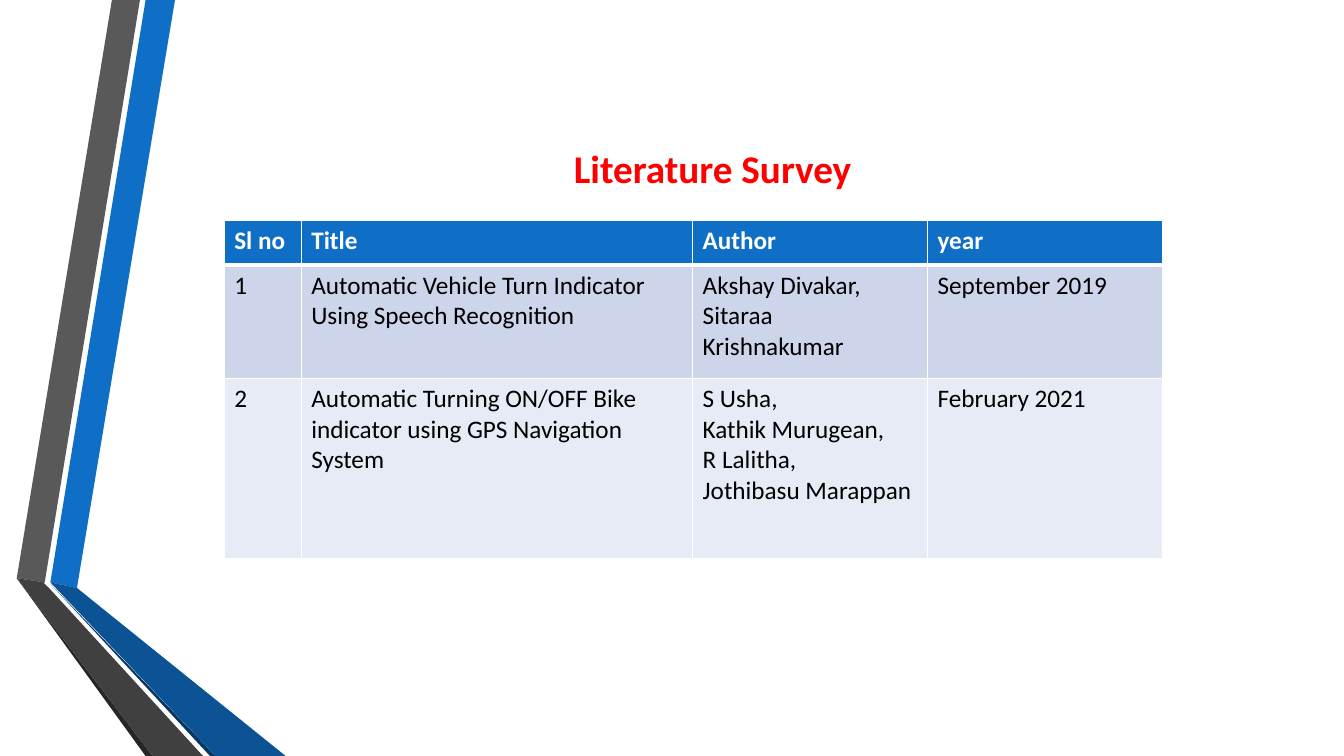
from lxml import etree
from pptx import Presentation
from pptx.dml.color import RGBColor
from pptx.enum.text import PP_ALIGN
from pptx.oxml.ns import qn
from pptx.util import Pt

CENTER = PP_ALIGN.CENTER
FONT = "Calibri"
WHITE = "FFFFFF"
TITLE = "Literature Survey"
BANDS = [
    ("0F6FC6", [(36, 416.2), (55.4, 419.8), (124.6, 0), (104.4, 0)]),
    ("595959", [(100, 0), (80, 0), (11.6, 412.6), (31.7, 415.5)]),
    ("262626", [(11.6, 412.6), (104.4, 540), (108.7, 540)]),
    ("083763", [(36, 416.8), (149.8, 540), (154, 540)]),
    ("0B5394", [(36, 416.2), (154, 540), (203.8, 540), (55.4, 419.8)]),
    ("404040", [(145.4, 540), (34.6, 419.8), (31, 416.2), (31.7, 415.5),
                (11.6, 412.6), (108.7, 540)]),
]
ROWS = [
    ("Sl no", "Title", "Author", "year"),
    ("1", "Automatic Vehicle Turn Indicator Using Speech Recognition",
     "Akshay Divakar,\nSitaraa Krishnakumar", "September 2019"),
    ("2", "Automatic Turning ON/OFF Bike indicator using GPS Navigation System",
     "S Usha,\nKathik Murugean,\nR Lalitha,\nJothibasu Marappan",
     "February 2021"),
]
FILLS = ["0F6FC6", "CCD5EA", "E7EBF5"]
WIDTHS = [55, 279.6, 167.8, 167.8]
HEIGHTS = [32, 80.9, 128.9]
LEFT, TOP = 160.2, 157.3


def paint(fill, color):
    fill.solid()
    fill.fore_color.rgb = RGBColor.from_string(color)


def style(frame, size, color, bold):
    for par in frame.paragraphs:
        par.font.name = FONT
        par.font.size = Pt(size)
        par.font.bold = bold
        par.font.color.rgb = RGBColor.from_string(color)


def edge(cell, side, width):
    line = etree.SubElement(cell._tc.get_or_add_tcPr(), qn("a:ln" + side),
                            w=str(Pt(width)))
    fill = etree.SubElement(line, qn("a:solidFill"))
    etree.SubElement(fill, qn("a:srgbClr"), val=WHITE)


def draw_band(shapes, color, points):
    pen = shapes.build_freeform(*points[0], scale=Pt(1))
    pen.add_line_segments(points[1:], close=True)
    band = pen.convert_to_shape()
    band.shadow.inherit = False
    paint(band.fill, color)
    band.line.fill.background()


def draw_table(shapes):
    table = shapes.add_table(len(ROWS), len(WIDTHS), Pt(LEFT), Pt(TOP),
                             Pt(sum(WIDTHS)), Pt(sum(HEIGHTS))).table
    table.horz_banding = False
    for col, width in zip(table.columns, WIDTHS):
        col.width = Pt(width)
    for r, texts in enumerate(ROWS):
        table.rows[r].height = Pt(HEIGHTS[r])
        head = r == 0
        for c, text in enumerate(texts):
            cell = table.cell(r, c)
            cell.text = text
            style(cell.text_frame, 18, WHITE if head else "000000", head)
            for side in "LRTB":
                thick = (r, side) in ((0, "B"), (1, "T"))
                edge(cell, side, 3 if thick else 1)
            paint(cell.fill, FILLS[r])


def main():
    """Build the literature survey slide."""
    deck = Presentation()
    deck.slide_width, deck.slide_height = Pt(960), Pt(540)
    slide = deck.slides.add_slide(deck.slide_layouts[6])
    paint(slide.background.fill, WHITE)
    for color, points in BANDS:
        draw_band(slide.shapes, color, points)
    draw_table(slide.shapes)
    box = slide.shapes.add_textbox(Pt(58.3), Pt(99.4), Pt(901.4), Pt(41))
    frame = box.text_frame
    frame.word_wrap = True
    frame.text = TITLE
    frame.paragraphs[0].alignment = CENTER
    style(frame, 28, "FF0000", True)
    deck.save("out.pptx")


if __name__ == "__main__":
    main()
